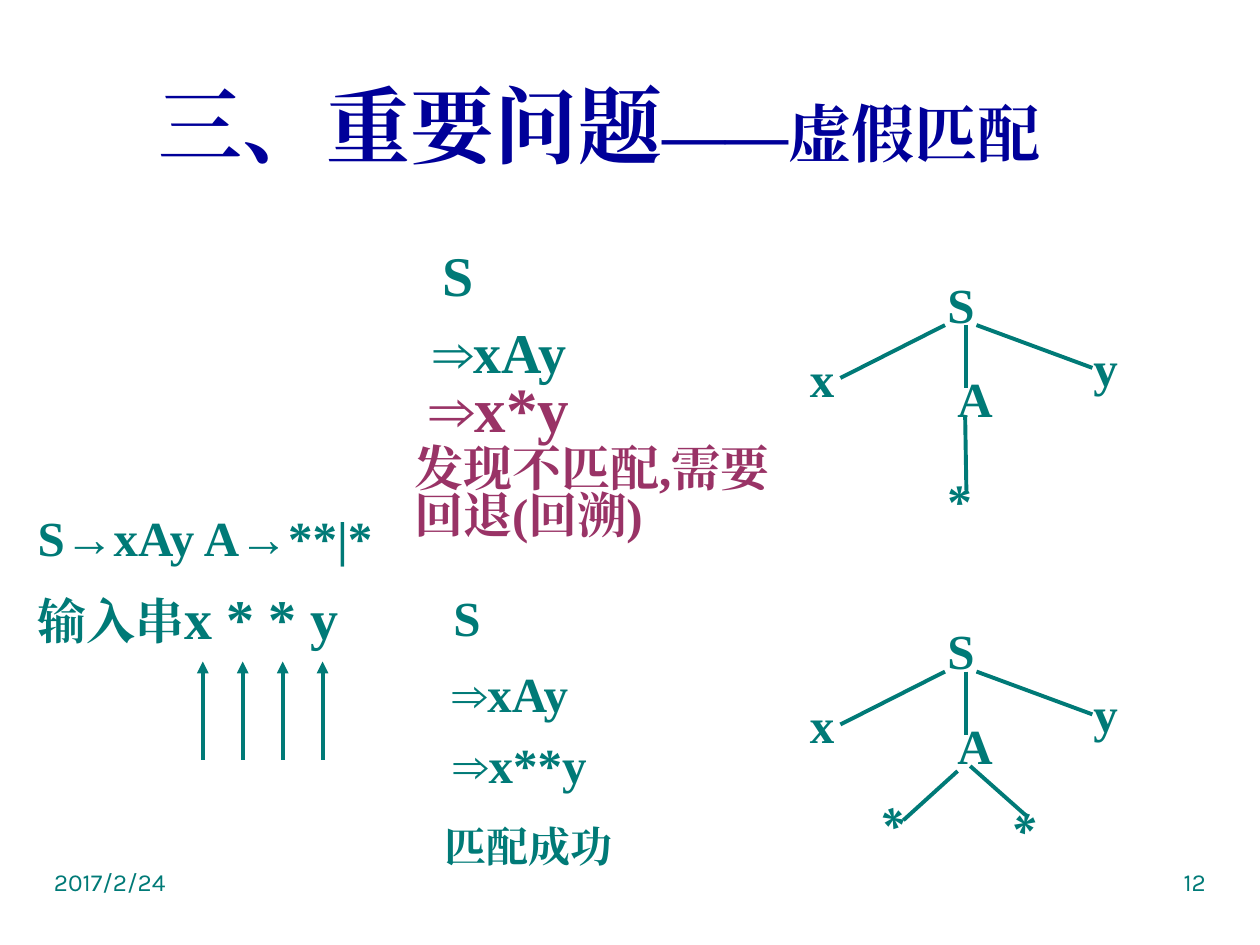
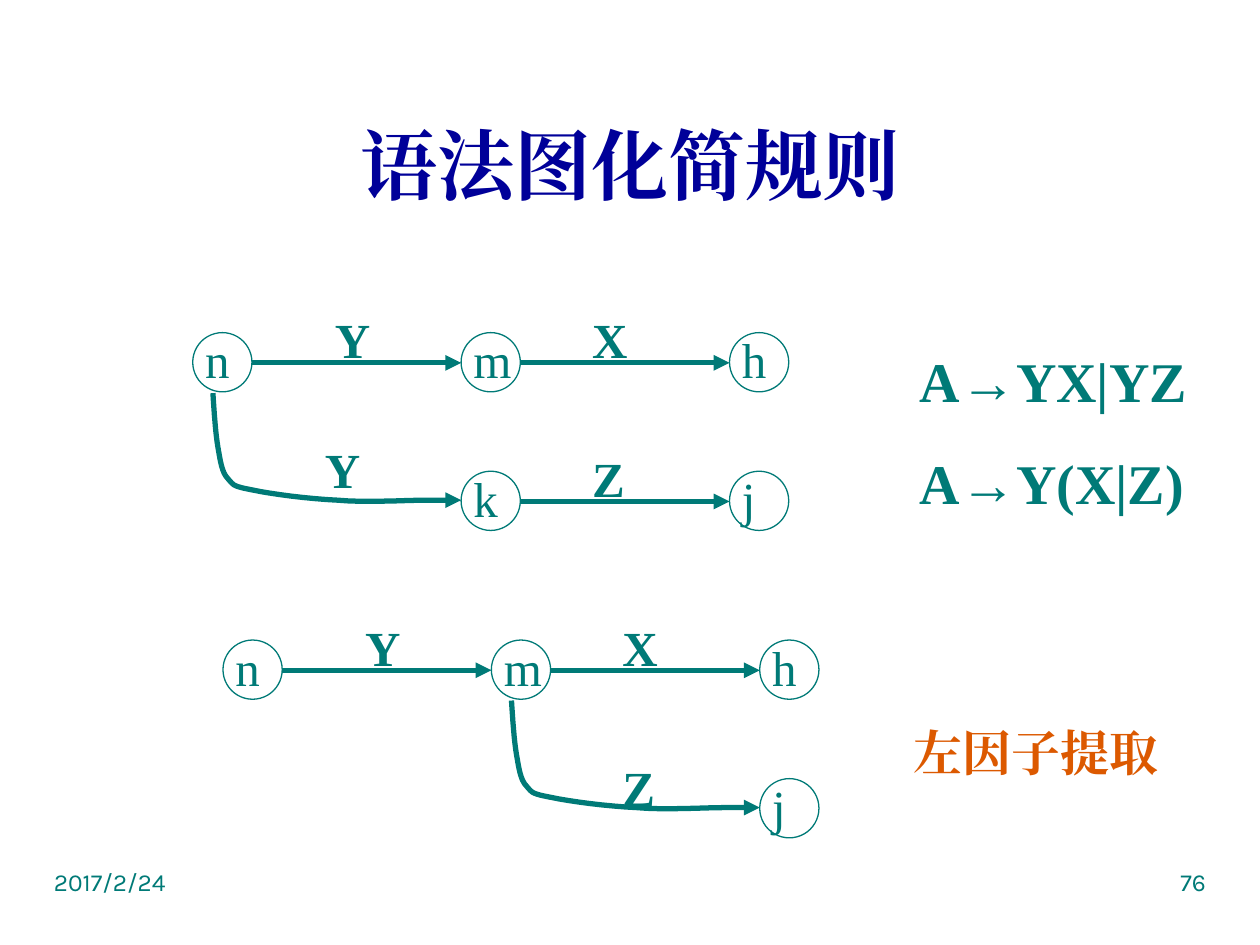
"""Build two compiler-course slides: false matching and syntax graph simplification."""
from dataclasses import dataclass

from lxml.etree import SubElement
from pptx import Presentation
from pptx.dml.color import RGBColor
from pptx.enum.shapes import MSO_CONNECTOR, MSO_SHAPE
from pptx.enum.text import MSO_ANCHOR, MSO_AUTO_SIZE, PP_ALIGN
from pptx.oxml.ns import qn
from pptx.slide import Slide
from pptx.util import Inches, Pt


@dataclass(frozen=True)
class Theme:
    teal: RGBColor = RGBColor(0x00, 0x7A, 0x77)
    navy: RGBColor = RGBColor(0x00, 0x00, 0x99)
    plum: RGBColor = RGBColor(0x99, 0x33, 0x66)
    orange: RGBColor = RGBColor(0xDC, 0x59, 0x00)
    serif: str = "Times New Roman"
    footer_font: str = "Karla"
    title: int = 48
    title_single: int = 44
    large: int = 36
    medium: int = 32
    normal: int = 28
    small: int = 24
    footer: int = 14
    thin: float = 0.75
    branch: float = 2.25
    edge: float = 3


THEME = Theme()


@dataclass(frozen=True)
class Span:
    text: str
    size: int = THEME.normal
    color: RGBColor = THEME.teal
    bold: bool = True
    font: str = THEME.serif


@dataclass(frozen=True)
class Label:
    left: float
    top: float
    width: float
    height: float
    paras: tuple[tuple[Span, ...], ...]
    line_spacing: float = 1.0
    space_before: float = 0
    rotation: float = 0
    align: PP_ALIGN = PP_ALIGN.LEFT
    anchor: MSO_ANCHOR = MSO_ANCHOR.TOP
    wrap: bool = True
    grow: bool = True


@dataclass(frozen=True)
class Tree:
    top: float
    branches: tuple[tuple[float, float, float, float], ...]
    leaves: tuple[tuple[float, float, float], ...]


@dataclass(frozen=True)
class Graph:
    left: float
    top: float
    nodes: tuple[tuple[str, int, int], ...]
    edges: tuple[tuple[int, int], ...]
    bend_column: int
    labels: tuple[tuple[str, float, float], ...]


TREE_LEFT = 6.33
TREE_BRANCHES = ((1.17, 0.5, 0.34, 0.92), (1.34, 0.5, 1.34, 1.0), (1.42, 0.5, 2.34, 0.84))
TREE_LETTERS = (("S", 1.09, 0), ("x", 0, 0.59), ("A", 1.17, 0.75), ("y", 2.25, 0.5))
TREES = (
    Tree(2.08, ((1.33, 1.22, 1.34, 1.81),), ((1.09, 1.55, 358.7),)),
    Tree(4.83, ((1.27, 1.29, 0.84, 1.68), (1.37, 1.25, 1.81, 1.64)),
         ((0.52, 1.47, 47.7), (1.57, 1.3, 311.4))),
)

NODE_SIZE = 0.47
COLUMN_STEP = 2.13
ROW_STEP = 1.1
GRAPHS = (
    Graph(1.53, 2.64,
          (("n", 0, 0), ("m", 1, 0), ("h", 2, 0), ("k", 1, 1), ("j", 2, 1)),
          ((0, 0), (1, 0), (1, 1)), 0,
          (("Y", 1.03, -0.23), ("X", 3.07, -0.23), ("Y", 0.95, 0.8), ("Z", 3.07, 0.87))),
    Graph(1.77, 5.08,
          (("n", 0, 0), ("m", 1, 0), ("h", 2, 0), ("j", 2, 1)),
          ((0, 0), (1, 0)), 1,
          (("Y", 1.03, -0.23), ("X", 3.07, -0.23), ("Z", 3.07, 0.88))),
)
BEND_START = (0.16, 0.48)
BEND_CURVES = (
    ((0.01, 0.15), (0.02, 0.31), (0.04, 0.43)),
    ((0.06, 0.54), (0.07, 0.63), (0.12, 0.68)),
    ((0.17, 0.74), (0.17, 0.74), (0.32, 0.77)),
    ((0.46, 0.8), (0.76, 0.84), (0.99, 0.85)),
    ((1.21, 0.87), (1.53, 0.85), (1.69, 0.85)),
)
BEND_END = (1.97, 0.85)


def add_label(page: Slide, label: Label) -> None:
    """Add a text box and its runs."""
    box = page.shapes.add_textbox(Inches(label.left), Inches(label.top),
                                  Inches(label.width), Inches(label.height))
    box.rotation = label.rotation
    frame = box.text_frame
    frame.word_wrap = label.wrap
    frame.auto_size = MSO_AUTO_SIZE.SHAPE_TO_FIT_TEXT if label.grow else MSO_AUTO_SIZE.NONE
    frame.vertical_anchor = label.anchor
    for index, spans in enumerate(label.paras):
        para = frame.add_paragraph() if index else frame.paragraphs[0]
        para.alignment = label.align
        para.line_spacing = label.line_spacing
        para.space_before = Pt(label.space_before if index else 0)
        for span in spans:
            run = para.add_run()
            run.text = span.text
            run.font.size = Pt(span.size)
            run.font.bold = span.bold
            run.font.color.rgb = span.color
            run.font.name = span.font
            SubElement(run.font._element, qn("a:ea"), typeface=span.font)


def style_line(shape, weight: float, arrow: bool) -> None:
    """Colour a line, and end it with an arrowhead if asked."""
    shape.line.color.rgb = THEME.teal
    shape.line.width = Pt(weight)
    if arrow:
        SubElement(shape._element.spPr.find(qn("a:ln")), qn("a:tailEnd"), type="triangle")


def add_line(page: Slide, start: tuple[float, float], end: tuple[float, float],
             weight: float, arrow: bool = False) -> None:
    """Add a straight line between two points."""
    line = page.shapes.add_connector(MSO_CONNECTOR.STRAIGHT, Inches(start[0]), Inches(start[1]),
                                     Inches(end[0]), Inches(end[1]))
    style_line(line, weight, arrow)
    SubElement(line._element.spPr, qn("a:effectLst"))


def bend_points(steps: int = 8) -> list[tuple[float, float]]:
    """Return points along the bend, relative to its starting corner."""
    points = [(0.0, 0.0)]
    for first, second, end in BEND_CURVES:
        controls = (points[-1], first, second, end)
        for step in range(1, steps + 1):
            t = step / steps
            weights = ((1 - t) ** 3, 3 * t * (1 - t) ** 2, 3 * t * t * (1 - t), t ** 3)
            points.append((sum(w * x for w, (x, _) in zip(weights, controls)),
                           sum(w * y for w, (_, y) in zip(weights, controls))))
    return points + [BEND_END]


def add_bend(page: Slide, left: float, top: float) -> None:
    """Add the curved arrow that drops from one row to the next."""
    points = [(Inches(left + x), Inches(top + y)) for x, y in bend_points()]
    builder = page.shapes.build_freeform(*points[0])
    builder.add_line_segments(points[1:], close=False)
    bend = builder.convert_to_shape()
    bend.shadow.inherit = False
    bend.fill.background()
    style_line(bend, THEME.edge, True)


def add_tree(page: Slide, tree: Tree) -> None:
    """Add a derivation tree with its letters and starred leaves."""
    for x1, y1, x2, y2 in TREE_BRANCHES + tree.branches:
        add_line(page, (TREE_LEFT + x1, tree.top + y1), (TREE_LEFT + x2, tree.top + y2),
                 THEME.branch)
    letters = [(text, x, y, 0) for text, x, y in TREE_LETTERS]
    stars = [("*", *leaf) for leaf in tree.leaves]
    for text, x, y, rotation in letters + stars:
        width = 0.67 if text in "S*" else 0.58
        add_label(page, Label(TREE_LEFT + x, tree.top + y, width, 0.61, ((Span(text),),),
                              line_spacing=1.1, rotation=rotation))


def add_graph(page: Slide, graph: Graph) -> None:
    """Add a syntax graph of circles, arrows and edge labels."""
    for text, column, row in graph.nodes:
        left, top = graph.left + column * COLUMN_STEP, graph.top + row * ROW_STEP
        circle = page.shapes.add_shape(MSO_SHAPE.OVAL, Inches(left), Inches(top),
                                       Inches(NODE_SIZE), Inches(NODE_SIZE))
        circle.shadow.inherit = False
        circle.fill.background()
        style_line(circle, THEME.thin, False)
        add_label(page, Label(left, top - 0.07, NODE_SIZE, 0.57, ((Span(text, bold=False),),)))
    for column, row in graph.edges:
        left = graph.left + column * COLUMN_STEP
        middle = graph.top + row * ROW_STEP + 0.24
        add_line(page, (left + NODE_SIZE, middle), (left + COLUMN_STEP, middle), THEME.edge, True)
    add_bend(page, graph.left + graph.bend_column * COLUMN_STEP + BEND_START[0],
             graph.top + BEND_START[1])
    for text, x, y in graph.labels:
        add_label(page, Label(graph.left + x, graph.top + y, 0.71, 0.57, ((Span(text),),)))


def add_page(deck, number: int, title: Label) -> Slide:
    """Add a blank page with its title, date and number."""
    page = deck.slides.add_slide(deck.slide_layouts[6])
    add_label(page, title)
    for left, text, align in ((0.33, "2017/2/24", PP_ALIGN.LEFT),
                              (7.17, str(number), PP_ALIGN.RIGHT)):
        span = Span(text, THEME.footer, bold=False, font=THEME.footer_font)
        add_label(page, Label(left, 6.83, 2.5, 0.52, ((span,),), align=align, grow=False))
    return page


def title_label(left: float, top: float, width: float, height: float, *spans: Span) -> Label:
    """Return a centred title."""
    return Label(left, top, width, height, (spans,), align=PP_ALIGN.CENTER,
                 anchor=MSO_ANCHOR.MIDDLE, grow=False)


def add_matching_page(deck) -> None:
    """Add the page on false matching and backtracking."""
    page = add_page(deck, 12, title_label(
        1.14, 0.28, 7.24, 1.41, Span("三、重要问题", THEME.title, THEME.navy),
        Span("——虚假匹配", THEME.large, THEME.navy)))
    grammar = ((Span("S→xAy A→**|*"),), (Span("输入串"), Span("x * * y", THEME.medium)))
    labels = (
        Label(0.2, 3.93, 2.92, 1.31, grammar, 1.1, 6, wrap=False),
        Label(3.41, 1.86, 0.45, 0.63, ((Span("S", THEME.medium),),), wrap=False),
        Label(3.34, 2.42, 1.41, 0.69, ((Span("⇒xAy", THEME.medium),),), 1.1, wrap=False),
        Label(3.31, 2.88, 3.19, 0.84, ((Span("⇒x*y", THEME.large, THEME.plum),),), grow=False),
        Label(3.19, 3.51, 3.19, 0.95,
              ((Span("发现不匹配,需要回退(回溯)", color=THEME.plum),),), 0.8, grow=False),
        Label(3.5, 4.67, 0.83, 0.5, ((Span("S"),),), 0.9, grow=False),
        Label(3.49, 5.17, 1.26, 0.61, ((Span("⇒xAy"),),), 1.1, wrap=False),
        Label(3.5, 5.83, 2.25, 0.52, ((Span("⇒x**y"),),), 0.9),
        Label(3.43, 6.51, 2.25, 0.46, ((Span("匹配成功", THEME.small),),), 0.9),
    )
    for label in labels:
        add_label(page, label)
    for index in range(4):
        x = 1.61 + index * 0.95 / 3
        add_line(page, (x, 6.03), (x, 5.25), THEME.branch, True)
    for tree in TREES:
        add_tree(page, tree)


def add_graph_page(deck) -> None:
    """Add the page on simplifying syntax graphs."""
    page = add_page(deck, 76, title_label(
        0.33, 0.67, 9.34, 1.25, Span("语法图化简规则", THEME.title_single, THEME.navy)))
    for graph in GRAPHS:
        add_graph(page, graph)
    rules = tuple((Span(text, THEME.medium),) for text in ("A→YX|YZ", "A→Y(X|Z)"))
    add_label(page, Label(7.2, 2.65, 2.42, 1.54, rules, 1.1, 16))
    add_label(page, Label(7.15, 5.64, 2.42, 0.61,
                          ((Span("左因子提取", color=THEME.orange),),), 1.1))


def main() -> None:
    """Build and save the deck."""
    deck = Presentation()
    deck.slide_width, deck.slide_height = Inches(10), Inches(7.5)
    add_matching_page(deck)
    add_graph_page(deck)
    deck.save("out.pptx")


if __name__ == "__main__":
    main()
